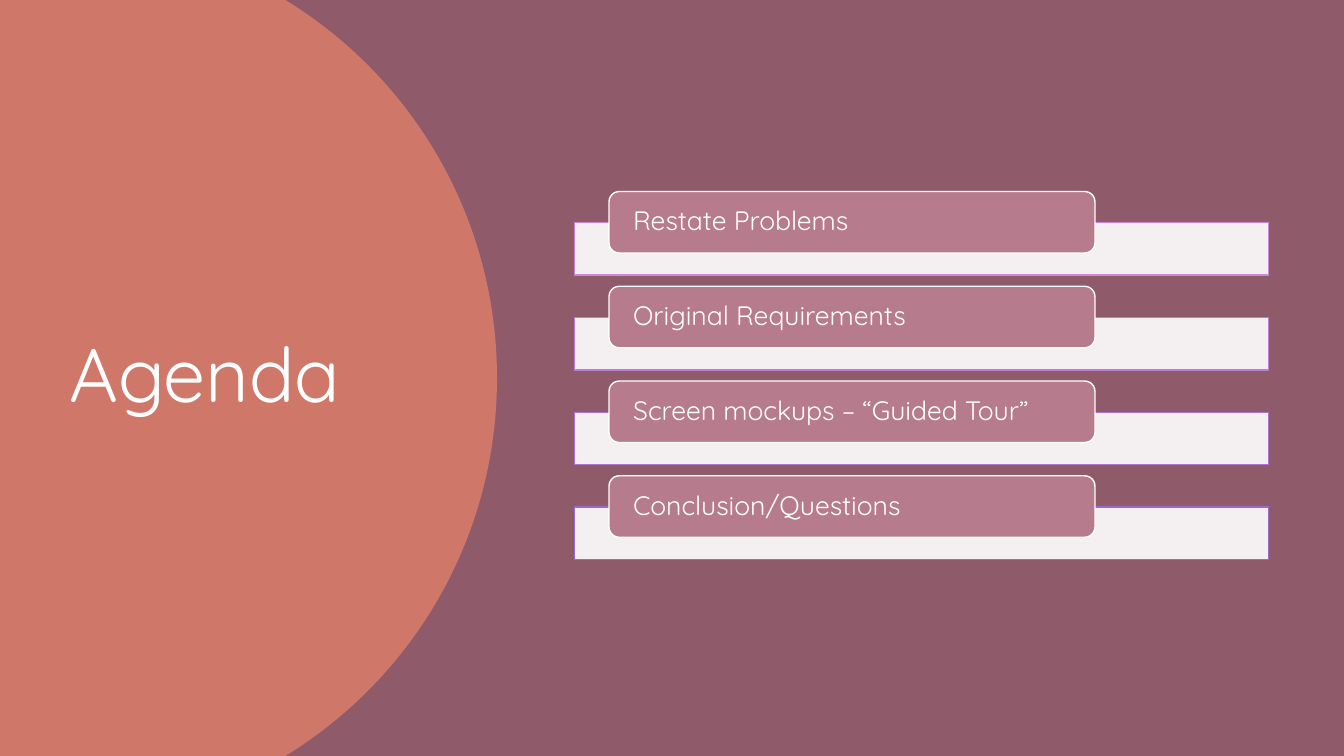
from pptx import Presentation
from pptx.dml.color import RGBColor
from pptx.enum import shapes, text
from pptx.util import Inches, Pt

FONT = "Quicksand"
COLORS = {"back": "8F5A6A", "coral": "CF786A", "bar": "F4EFF0",
          "tab": "B67B8C", "white": "FFFFFF"}
ITEMS = [("Restate Problems", "CF85D8"),
         ("Original Requirements", "BF7CD5"),
         ("Screen mockups – “Guided Tour”", "AD73D2"),
         ("Conclusion/Questions", "9A6ACF")]
TOP, PITCH = 1.9, 0.94
STEPS = 60


def rgb(code):
    return RGBColor.from_string(code)


def paint(shape, fill, line=None):
    shape.shadow.inherit = False
    shape.fill.solid()
    shape.fill.fore_color.rgb = rgb(fill)
    if line:
        shape.line.color.rgb = rgb(line)
        shape.line.width = Pt(1)
    else:
        shape.line.fill.background()


def write(shape, words, size, inset):
    """Put one left-aligned, vertically centred line into a shape."""
    frame = shape.text_frame
    frame.word_wrap = True
    frame.vertical_anchor = text.MSO_ANCHOR.MIDDLE
    frame.margin_left = frame.margin_right = Inches(inset)
    frame.margin_top = frame.margin_bottom = 0
    frame.text = words
    para = frame.paragraphs[0]
    para.alignment = text.PP_ALIGN.LEFT
    para.line_spacing = 0.9
    font = para.runs[0].font
    font.name, font.size = FONT, Pt(size)
    font.color.rgb = rgb(COLORS["white"])


def box(slide, kind, place, fill, line):
    shape = slide.shapes.add_shape(kind, *map(Inches, place))
    paint(shape, fill, line)
    return shape


def curve(start, pull, push, end):
    """Return points along a cubic Bezier curve."""
    points = []
    for step in range(STEPS + 1):
        t = step / STEPS
        s = 1 - t
        points.append(tuple(
            Inches(s**3 * a + 3 * s * s * t * b + 3 * s * t * t * c + t**3 * d)
            for a, b, c, d in zip(start, pull, push, end)))
    return points


def dome(slide):
    """Draw the coral panel with its round right edge."""
    upper = curve((2.83, 0), (4.09, 0.77), (4.93, 2.16), (4.93, 3.75))
    lower = [(x, Inches(7.5) - y) for x, y in reversed(upper[:-1])]
    pen = slide.shapes.build_freeform(0, 0)
    pen.add_line_segments(upper + lower + [(0, Inches(7.5))], close=True)
    paint(pen.convert_to_shape(), COLORS["coral"])


def item(slide, top, words, edge):
    """Draw one agenda entry: a pale bar with a labelled tab over it."""
    kinds = shapes.MSO_SHAPE
    box(slide, kinds.RECTANGLE, (5.7, top + 0.31, 6.88, 0.52),
        COLORS["bar"], edge)
    tab = box(slide, kinds.ROUNDED_RECTANGLE, (6.04, top, 4.82, 0.61),
              COLORS["tab"], COLORS["white"])
    write(tab, words, 19, 0.21)


def main():
    deck = Presentation()
    deck.slide_width, deck.slide_height = Inches(13.33), Inches(7.5)
    slide = deck.slides.add_slide(deck.slide_layouts[6])
    slide.background.fill.solid()
    slide.background.fill.fore_color.rgb = rgb(COLORS["back"])
    dome(slide)
    title = slide.shapes.add_textbox(*map(Inches, (0.59, 0.7, 3.75, 6.09)))
    write(title, "Agenda", 54, 0.1)
    for row, (words, edge) in enumerate(ITEMS):
        item(slide, TOP + row * PITCH, words, edge)
    deck.save("out.pptx")


if __name__ == "__main__":
    main()
